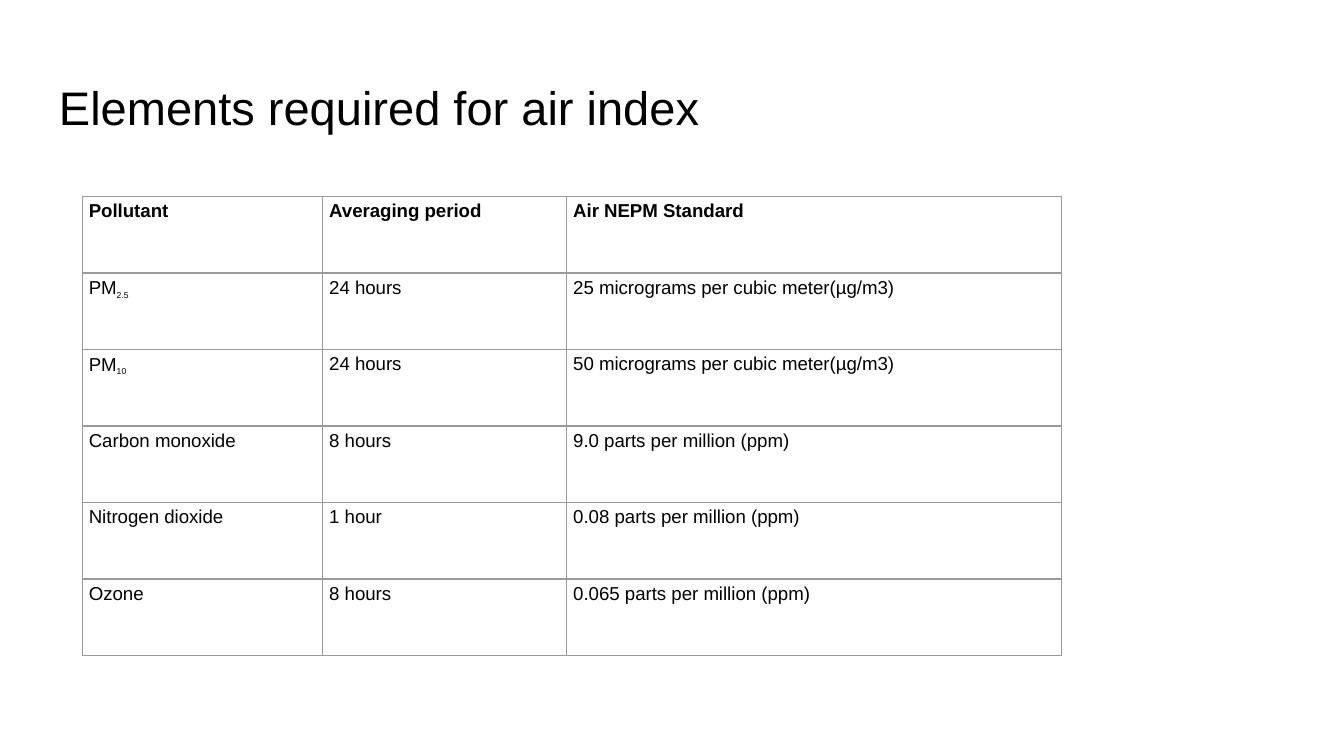
"""Build the slide listing the pollutants and standards behind an air index."""
from typing import NamedTuple

from lxml import etree
from pptx import Presentation
from pptx.dml.color import RGBColor
from pptx.enum import text as t
from pptx.oxml import ns
from pptx.util import Pt

FONT = "Arial"
BLACK = "000000"
GREY = "9A9A9A"
COLUMN_WIDTHS = (128.75, 130.75, 265)
ROW_HEIGHT = 41


class Standard(NamedTuple):
    pollutant: str
    period: str
    limit: str
    subscript: str = ""


STANDARDS = (
    Standard("Pollutant", "Averaging period", "Air NEPM Standard"),
    Standard("PM", "24 hours", "25 micrograms per cubic meter(µg/m3)", "2.5"),
    Standard("PM", "24 hours", "50 micrograms per cubic meter(µg/m3)", "10"),
    Standard("Carbon monoxide", "8 hours", "9.0 parts per million (ppm)"),
    Standard("Nitrogen dioxide", "1 hour", "0.08 parts per million (ppm)"),
    Standard("Ozone", "8 hours", "0.065 parts per million (ppm)"),
)


def colour(value: str) -> RGBColor:
    return RGBColor.from_string(value)


def format_span(span, size: float, bold: bool = False) -> None:
    span.font.name = FONT
    span.font.size = Pt(size)
    span.font.bold = bold
    span.font.color.rgb = colour(BLACK)


def add_title(page, wording: str) -> None:
    box = page.shapes.add_textbox(Pt(24.5), Pt(35), Pt(671), Pt(45.5))
    frame = box.text_frame
    frame.word_wrap = True
    frame.vertical_anchor = t.MSO_ANCHOR.TOP
    frame.margin_left = frame.margin_right = Pt(7.2)
    frame.margin_top = frame.margin_bottom = Pt(7.2)
    frame.text = wording
    format_span(frame.paragraphs[0].runs[0], 25.2)


def add_borders(cell) -> None:
    properties = cell._tc.get_or_add_tcPr()
    for side in ("a:lnL", "a:lnR", "a:lnT", "a:lnB"):
        line = etree.SubElement(properties, ns.qn(side), w=str(Pt(0.75)))
        fill = etree.SubElement(line, ns.qn("a:solidFill"))
        etree.SubElement(fill, ns.qn("a:srgbClr"), val=GREY)


def fill_cell(cell, wording: str, bold: bool, subscript: str = "") -> None:
    add_borders(cell)
    cell.fill.background()
    cell.margin_left = cell.margin_right = Pt(3.6)
    cell.margin_top = cell.margin_bottom = Pt(0.75)
    cell.vertical_anchor = t.MSO_ANCHOR.TOP
    cell.text_frame.text = wording
    para = cell.text_frame.paragraphs[0]
    para.line_spacing = 1.15
    format_span(para.runs[0], 10, bold)
    if subscript:
        span = para.add_run()
        span.text = subscript
        format_span(span, 8)
        span.font._element.set("baseline", "-25000")


def add_standards(page, standards: tuple[Standard, ...]) -> None:
    frame = page.shapes.add_table(
        len(standards), len(COLUMN_WIDTHS), Pt(44), Pt(105.25),
        Pt(sum(COLUMN_WIDTHS)), Pt(ROW_HEIGHT * len(standards)))
    table = frame.table
    table.first_row = table.horz_banding = False
    for column, width in zip(table.columns, COLUMN_WIDTHS):
        column.width = Pt(width)
    for index, standard in enumerate(standards):
        table.rows[index].height = Pt(ROW_HEIGHT)
        header = index == 0
        pollutant, period, limit = table.rows[index].cells
        fill_cell(pollutant, standard.pollutant, header, standard.subscript)
        fill_cell(period, standard.period, header)
        fill_cell(limit, standard.limit, header)


def main() -> None:
    deck = Presentation()
    deck.slide_width, deck.slide_height = Pt(720), Pt(405)
    page = deck.slides.add_slide(deck.slide_layouts[6])
    add_title(page, "Elements required for air index")
    add_standards(page, STANDARDS)
    deck.save("out.pptx")


if __name__ == "__main__":
    main()
